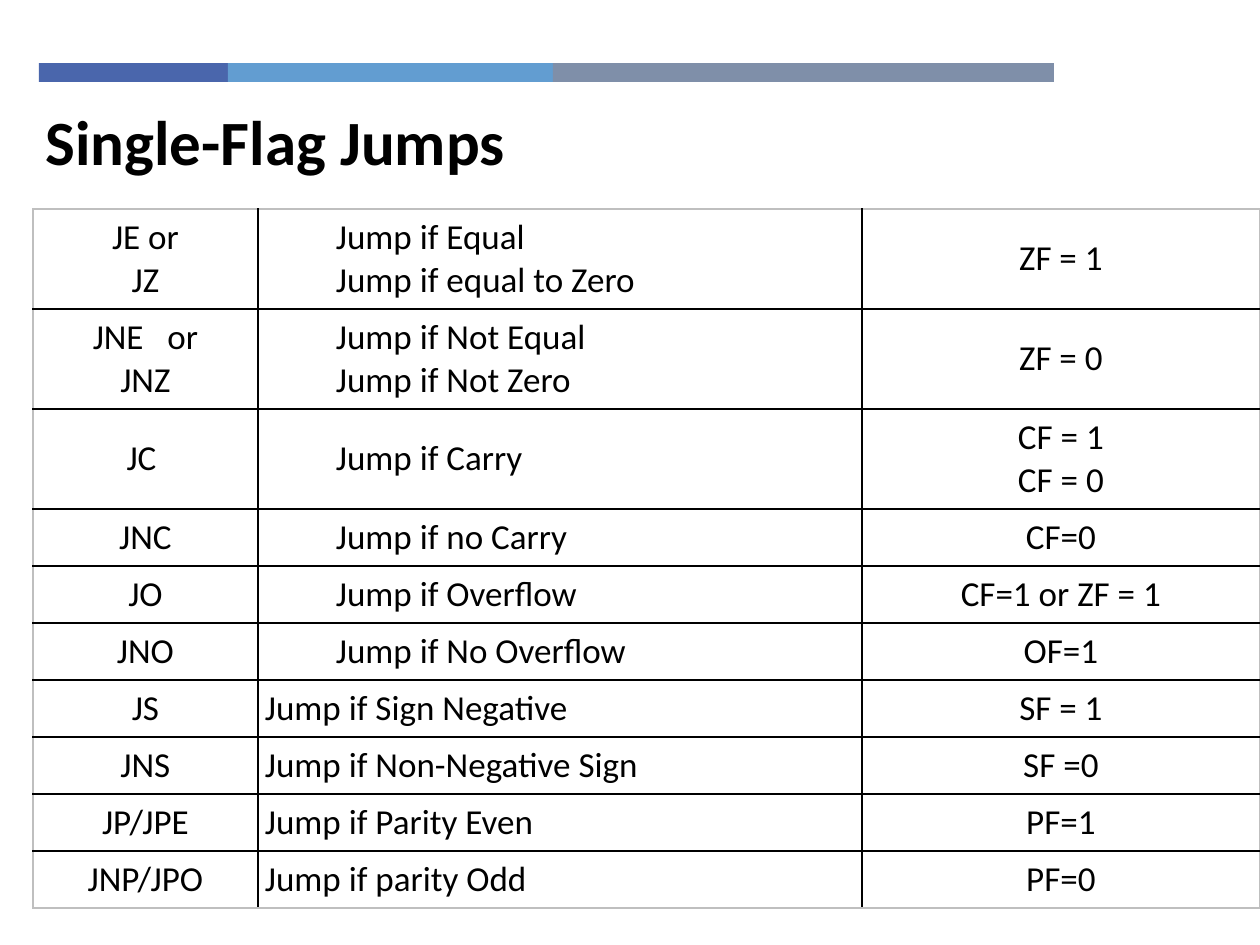
from lxml import etree
from pptx import Presentation, util as u
from pptx.dml.color import RGBColor
from pptx.enum import shapes, text
from pptx.oxml.ns import qn

PX_PER_INCH = 126
BLACK, GREY = "000000", "BFBFBF"
LEFT, CENTER = text.PP_ALIGN.LEFT, text.PP_ALIGN.CENTER

BARS = [(189, "4A66AC"), (325, "629DD1"), (501, "7F8FA9")]
COLUMNS = [225, 604, 398]
ONE_LINE, TWO_LINES = 57, 100
INSET, INDENT = 7, 71

# Mnemonic, meaning, flag condition, indent of the meaning
JUMPS = [
    ("JE or\nJZ", "Jump if Equal\nJump if equal to Zero", "ZF = 1", INDENT),
    ("JNE   or\nJNZ", "Jump if Not Equal\nJump if Not Zero", "ZF = 0", INDENT),
    ("JC ", "Jump if Carry", "CF = 1\nCF = 0", INDENT),
    ("JNC", "Jump if no Carry", "CF=0", INDENT),
    ("JO", "Jump if Overflow", "CF=1 or ZF = 1", INDENT),
    ("JNO", "Jump if No Overflow", "OF=1", INDENT),
    ("JS", "Jump if Sign Negative", "SF = 1", 0),
    ("JNS", "Jump if Non-Negative Sign", "SF =0", 0),
    ("JP/JPE", "Jump if Parity Even", "PF=1", 0),
    ("JNP/JPO", "Jump if parity Odd", "PF=0", 0),
]


def px(n):
    return u.Emu(round(n * 914400 / PX_PER_INCH))


def rgb(value):
    return RGBColor.from_string(value)


def set_all(obj, values):
    for name, value in values.items():
        setattr(obj, name, value)


def style_font(font, size, bold=False):
    set_all(font, {"name": "Calibri", "size": u.Pt(size), "bold": bold})
    font.color.rgb = rgb(BLACK)


def add_bars(s, left, top, height):
    for width, color in BARS:
        bar = s.shapes.add_shape(shapes.MSO_SHAPE.RECTANGLE,
                                 px(left), px(top), px(width), px(height))
        bar.shadow.inherit = False
        bar.fill.solid()
        bar.fill.fore_color.rgb = rgb(color)
        bar.line.fill.background()
        left += width


def add_title(s, words):
    sp = s.shapes.title
    set_all(sp, {"left": px(33), "top": px(96), "width": px(631), "height": px(89)})
    tf = sp.text_frame
    tf.text = words
    set_all(tf, {"word_wrap": True, "auto_size": text.MSO_AUTO_SIZE.NONE,
                 "vertical_anchor": text.MSO_ANCHOR.MIDDLE})
    p = tf.paragraphs[0]
    p.alignment = LEFT
    style_font(p.runs[0].font, 36, bold=True)


def set_borders(cell, colors):
    tc_pr = cell._tc.get_or_add_tcPr()
    for side, color in colors.items():
        line = etree.SubElement(tc_pr, qn("a:ln" + side), w=str(u.Pt(1)))
        fill = etree.SubElement(line, qn("a:solidFill"))
        etree.SubElement(fill, qn("a:srgbClr"), val=color)


def fill_cell(cell, words, alignment, indent):
    margins = ("margin_left", "margin_right", "margin_top", "margin_bottom")
    set_all(cell, dict.fromkeys(margins, px(INSET)))
    cell.vertical_anchor = text.MSO_ANCHOR.MIDDLE
    cell.fill.background()
    cell.text_frame.text = words
    for p in cell.text_frame.paragraphs:
        p.alignment = alignment
        p._p.get_or_add_pPr().set("marL", str(px(indent)))
        style_font(p.runs[0].font, 20)


def add_jump_table(s, left, top):
    heights = [TWO_LINES if "\n" in "".join(row[:3]) or row[0] == "JC " else ONE_LINE
               for row in JUMPS]
    frame = s.shapes.add_table(len(JUMPS), len(COLUMNS), px(left), px(top),
                               px(sum(COLUMNS)), px(sum(heights)))
    table = frame.table
    set_all(table, {"first_row": False, "horz_banding": False})
    for column, width in zip(table.columns, COLUMNS):
        column.width = px(width)
    last_row, last_col = len(JUMPS) - 1, len(COLUMNS) - 1
    for i, (*cells, indent) in enumerate(JUMPS):
        table.rows[i].height = px(heights[i])
        for j, words in enumerate(cells):
            cell = table.cell(i, j)
            # Grey frame outside, black rules inside
            set_borders(cell, {"L": BLACK if j else GREY,
                               "R": BLACK if j < last_col else GREY,
                               "T": BLACK if i else GREY,
                               "B": BLACK if i < last_row else GREY})
            meaning = j == 1
            fill_cell(cell, words, LEFT if meaning else CENTER,
                      indent if meaning else 0)


def main():
    prs = Presentation()
    set_all(prs, {"slide_width": px(1260), "slide_height": px(945)})
    s = prs.slides.add_slide(prs.slide_layouts[5])
    add_bars(s, 39, 63, 19)
    add_jump_table(s, 33, 209)
    add_title(s, "Single-Flag Jumps")
    prs.save("out.pptx")


if __name__ == "__main__":
    main()
